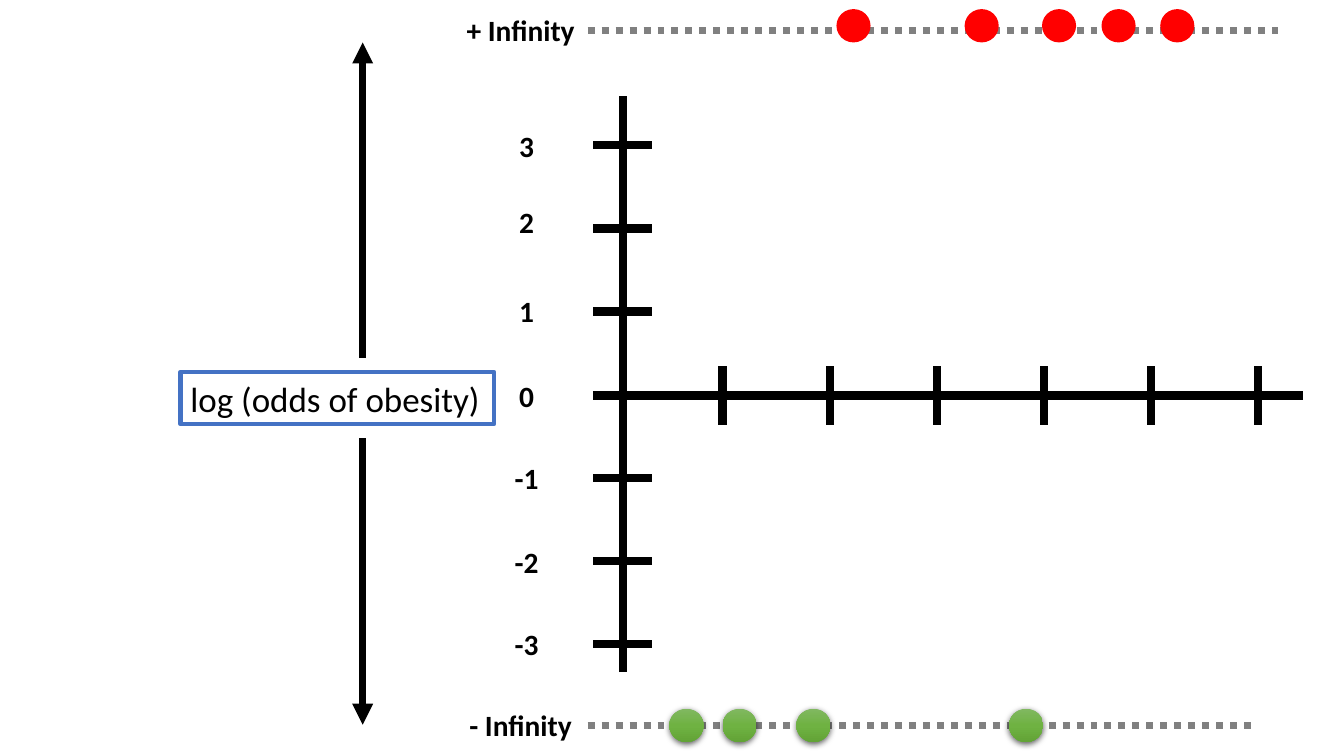
from copy import deepcopy

from pptx import Presentation
from pptx.dml.color import RGBColor
from pptx.enum.dml import MSO_LINE
from pptx.enum.shapes import MSO_CONNECTOR, MSO_SHAPE
from pptx.enum.text import MSO_AUTO_SIZE, PP_ALIGN
from pptx.oxml.ns import qn
from pptx.util import Cm, Pt
from lxml.etree import SubElement

COLORS = {
    "ink": "000000",
    "dots": "808080",
    "obese": "FF0000",
    "lean_top": "81B861",
    "lean_middle": "6FB242",
    "lean_bottom": "62A336",
    "frame": "4472C4",
}
TICK_FONT = {"name": "Calibri", "size": Pt(21), "bold": True}
TITLE_FONT = {"name": "Calibri", "size": Pt(25), "bold": False}
FRAME_FORMAT = {"word_wrap": True, "auto_size": MSO_AUTO_SIZE.SHAPE_TO_FIT_TEXT}
LABEL_HEIGHT = 1.14
DOT_WIDTH, DOT_HEIGHT = 0.86, 0.84


def rgb(name):
    return RGBColor.from_string(COLORS[name])


def apply(target, values):
    for key, value in values.items():
        setattr(target, key, value)


def write(shape, text, font, align):
    apply(shape.text_frame, FRAME_FORMAT)
    paragraph = shape.text_frame.paragraphs[0]
    paragraph.alignment = align
    run = paragraph.add_run()
    run.text = text
    apply(run.font, font)
    run.font.color.rgb = rgb("ink")


def add_label(shapes, text, left, top, width):
    label = shapes.add_textbox(Cm(left), Cm(top), Cm(width), Cm(LABEL_HEIGHT))
    write(label, text, TICK_FONT, PP_ALIGN.CENTER)


def add_line(shapes, x1, y1, x2, y2, width=6, color="ink"):
    line = shapes.add_connector(MSO_CONNECTOR.STRAIGHT, Cm(x1), Cm(y1), Cm(x2), Cm(y2))
    line.line.color.rgb = rgb(color)
    line.line.width = Pt(width)
    SubElement(line._element.spPr, qn("a:effectLst"))
    return line


def add_axes(shapes, left, top, width, height):
    """Cross-shaped axes; the vertical one runs through the middle of its ticks."""
    tick = 1.48
    axis_x = left + tick / 2 + 0.02
    first_tick, tick_span = top + 1.25, 12.57
    zero_y = first_tick + tick_span / 2 + 0.02
    add_line(shapes, axis_x, top + height, axis_x, top)
    add_line(shapes, left, zero_y, left + width, zero_y)
    for index in range(6):
        x = left + 3.27 + index * 2.7
        add_line(shapes, x, zero_y - tick / 2, x, zero_y + tick / 2)
    label_tops = (0.69, 2.62, 4.85, 6.99, 9.05, 11.18, 13.24)
    for index, label_top in enumerate(label_tops):
        y = first_tick + index * tick_span / 6
        if index != 3:
            add_line(shapes, left + tick, y, left, y)
        add_label(shapes, str(3 - index), left - 3.18, top + label_top, 3.02)


def fill_plain(dot):
    dot.fill.solid()
    dot.fill.fore_color.rgb = rgb("obese")


def fill_shaded(dot):
    """Three-stop green gradient with a soft shadow below."""
    dot.fill.gradient()
    dot.fill.gradient_angle = 270
    stop_list = dot._element.spPr.find(".//" + qn("a:gsLst"))
    stop_list.append(deepcopy(stop_list[0]))
    names = ("lean_top", "lean_middle", "lean_bottom")
    for index, (stop, name) in enumerate(zip(dot.fill.gradient_stops, names)):
        stop.color.rgb = rgb(name)
        stop.position = index / 2
    effects = dot._element.spPr.find(qn("a:effectLst"))
    shadow = SubElement(effects, qn("a:outerShdw"), blurRad=str(Pt(4.5)),
                        dist=str(Pt(1.5)), dir="5400000", algn="ctr", rotWithShape="0")
    black = SubElement(shadow, qn("a:srgbClr"), val=COLORS["ink"])
    SubElement(black, qn("a:alpha"), val="63000")


def add_infinity_row(shapes, left, top, width, text, dot_top, dot_offsets, fill_dot):
    """Label, dotted line and its data points, offset from the line's start."""
    row = shapes.add_group_shape().shapes
    label_width = 3.38
    start = left + label_width
    line_y = top + 0.58
    add_label(row, text, left, top, label_width)
    dotted = add_line(row, start, line_y, left + width, line_y, 5, "dots")
    dotted.line.dash_style = MSO_LINE.ROUND_DOT
    for offset in dot_offsets:
        dot = row.add_shape(MSO_SHAPE.OVAL, Cm(start + offset), Cm(top + dot_top),
                            Cm(DOT_WIDTH), Cm(DOT_HEIGHT))
        dot.shadow.inherit = False
        dot.line.fill.background()
        fill_dot(dot)


def add_axis_title(shapes, left, top, width, height):
    """Framed title with arrows to the box's top and bottom edges."""
    title_top, title_height, gap = top + 8.3, 1.32, 0.35
    arrow_x = left + 4.59
    arrows = ((top + height, title_top + title_height + gap),
              (top, title_top - gap))
    for tip, tail in arrows:
        arrow = add_line(shapes, arrow_x, tip, arrow_x, tail, 5)
        SubElement(arrow.line._get_or_add_ln(), qn("a:headEnd"), type="triangle")
    title = shapes.add_shape(MSO_SHAPE.RECTANGLE, Cm(left), Cm(title_top),
                             Cm(width), Cm(title_height))
    title.shadow.inherit = False
    title.fill.background()
    title.line.color.rgb = rgb("frame")
    title.line.width = Pt(3)
    write(title, "log (odds of obesity)", TITLE_FONT, PP_ALIGN.LEFT)


def main():
    presentation = Presentation()
    presentation.slide_width, presentation.slide_height = Cm(33.87), Cm(19.05)
    shapes = presentation.slides.add_slide(presentation.slide_layouts[6]).shapes
    add_axes(shapes, 14.94, 2.41, 17.9, 14.53)
    add_infinity_row(shapes, 11.43, 0.18, 20.78, "+ Infinity", 0.05,
                     (6.27, 9.5, 11.45, 12.95, 14.43), fill_plain)
    add_infinity_row(shapes, 11.43, 17.7, 20.27, "- Infinity", 0.16,
                     (2.06, 3.4, 5.26, 10.62), fill_shaded)
    add_axis_title(shapes, 4.55, 1.07, 7.9, 17.19)
    presentation.save("out.pptx")


if __name__ == "__main__":
    main()
